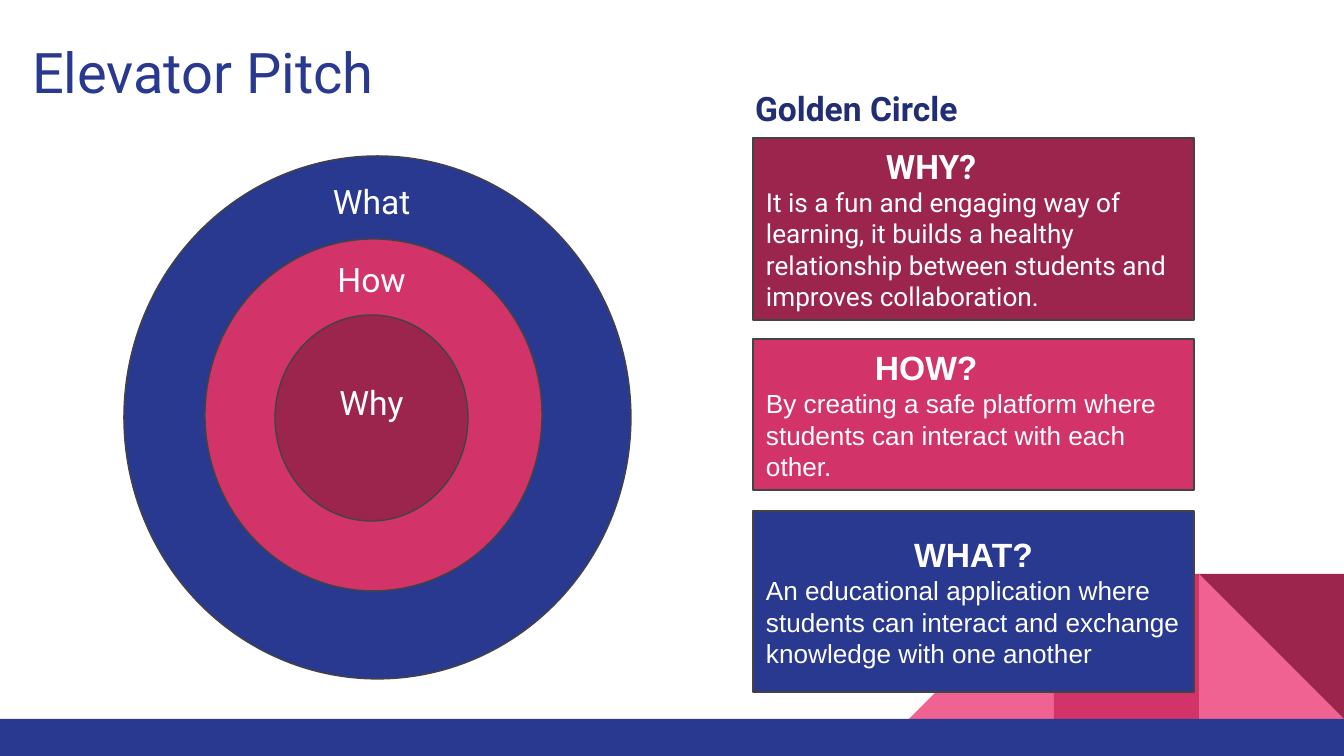
from pptx import Presentation
from pptx import util as u
from pptx.dml.color import RGBColor
from pptx.enum import shapes, text
from dataclasses import dataclass


@dataclass(frozen=True)
class Theme:
    blue: str = "2A3990"
    navy: str = "212D74"
    pink: str = "D23369"
    light_pink: str = "F06292"
    wine: str = "9C254D"
    outline: str = "434343"
    white: str = "FFFFFF"
    title_size: int = 30
    heading_size: int = 18
    body_size: int = 14


theme = Theme()
PX = 914400 / 134.4
WIDTH, HEIGHT = 1344, 756
INSET = 13
SHAPE = shapes.MSO_SHAPE


def px(*lengths):
    return [u.Emu(round(length * PX)) for length in lengths]


def write(frame, words, first=True, size=theme.heading_size, color=theme.white,
          font="Roboto", bold=False, align=text.PP_ALIGN.LEFT, indent=0,
          anchor=text.MSO_ANCHOR.TOP):
    frame.word_wrap = True
    frame.auto_size = text.MSO_AUTO_SIZE.NONE
    frame.vertical_anchor = anchor
    frame.margin_left, frame.margin_top, frame.margin_right, frame.margin_bottom = px(*[INSET] * 4)
    paragraph = frame.paragraphs[0] if first else frame.add_paragraph()
    paragraph.alignment = align
    paragraph.space_before = u.Pt(0)
    if indent:
        paragraph._p.get_or_add_pPr().set("marL", str(px(indent)[0]))
    run = paragraph.add_run()
    run.text = words
    run.font.size, run.font.name, run.font.bold = u.Pt(size), font, bold
    run.font.color.rgb = RGBColor.from_string(color)


prs = Presentation()
prs.slide_width, prs.slide_height = px(WIDTH, HEIGHT)
slide = prs.slides.add_slide(prs.slide_layouts[5])


def add_block(kind, box, fill, outlined=True):
    block = slide.shapes.add_shape(kind, *px(*box))
    block.shadow.inherit = False
    block.fill.solid()
    block.fill.fore_color.rgb = RGBColor.from_string(fill)
    if outlined:
        block.line.color.rgb = RGBColor.from_string(theme.outline)
        block.line.width = u.Pt(0.75)
    else:
        block.line.fill.background()
    return block


# Corner decoration: tiles counted from the right edge, standing on the footer
tile, footer_top = 145, 719
for column, kind, fill, turn in [
    (1, SHAPE.RIGHT_TRIANGLE, theme.light_pink, 0),
    (3, SHAPE.RIGHT_TRIANGLE, theme.light_pink, 270),
    (2, SHAPE.RECTANGLE, theme.pink, 0),
    (1, SHAPE.RIGHT_TRIANGLE, theme.wine, 180),
]:
    box = (WIDTH - column * tile, footer_top - tile, tile, tile)
    add_block(kind, box, fill, outlined=False).rotation = turn
add_block(SHAPE.RECTANGLE, (0, footer_top, WIDTH, HEIGHT - footer_top), theme.blue, outlined=False)

# Title
title = slide.shapes.title
title.left, title.top, title.width, title.height = px(19, 24, 1253, 89)
write(title.text_frame, "Elevator Pitch", size=theme.title_size, color=theme.blue)

# Golden circle, outer ring first
rings = [
    ("What", (124, 156, 507, 523), theme.blue, 168),
    ("How", (205, 239, 337, 352), theme.pink, 246),
    ("Why", (275, 315, 193, 206), theme.wine, 369),
]
for _, box, fill, _ in rings:
    add_block(SHAPE.OVAL, box, fill)
for ring_name, _, _, label_top in rings:
    label = slide.shapes.add_textbox(*px(290, label_top, 163, 93))
    write(label.text_frame, ring_name, align=text.PP_ALIGN.CENTER)

# Explanations
heading = slide.shapes.add_textbox(*px(742, 75, 605 - 3, 78))
write(heading.text_frame, "Golden Circle", color=theme.navy, bold=True)

for question, answer, top, height, fill, font, align, indent in [
    ("WHY?", "It is a fun and engaging way of learning, it builds a healthy "
     "relationship between students and improves collaboration.",
     138, 182, theme.wine, "Roboto", text.PP_ALIGN.LEFT, 120),
    ("HOW?", "By creating a safe platform where students can interact with each other.",
     339, 151, theme.pink, "Arial", text.PP_ALIGN.LEFT, 109),
    ("WHAT?", "An educational application where students can interact and "
     "exchange knowledge with one another",
     511, 181, theme.blue, "Arial", text.PP_ALIGN.CENTER, 0),
]:
    card = add_block(SHAPE.RECTANGLE, (753, top, 441, height), fill).text_frame
    write(card, question, font=font, bold=True, align=align, indent=indent,
          anchor=text.MSO_ANCHOR.MIDDLE)
    write(card, answer, first=False, size=theme.body_size, font=font,
          anchor=text.MSO_ANCHOR.MIDDLE)

prs.save("out.pptx")
